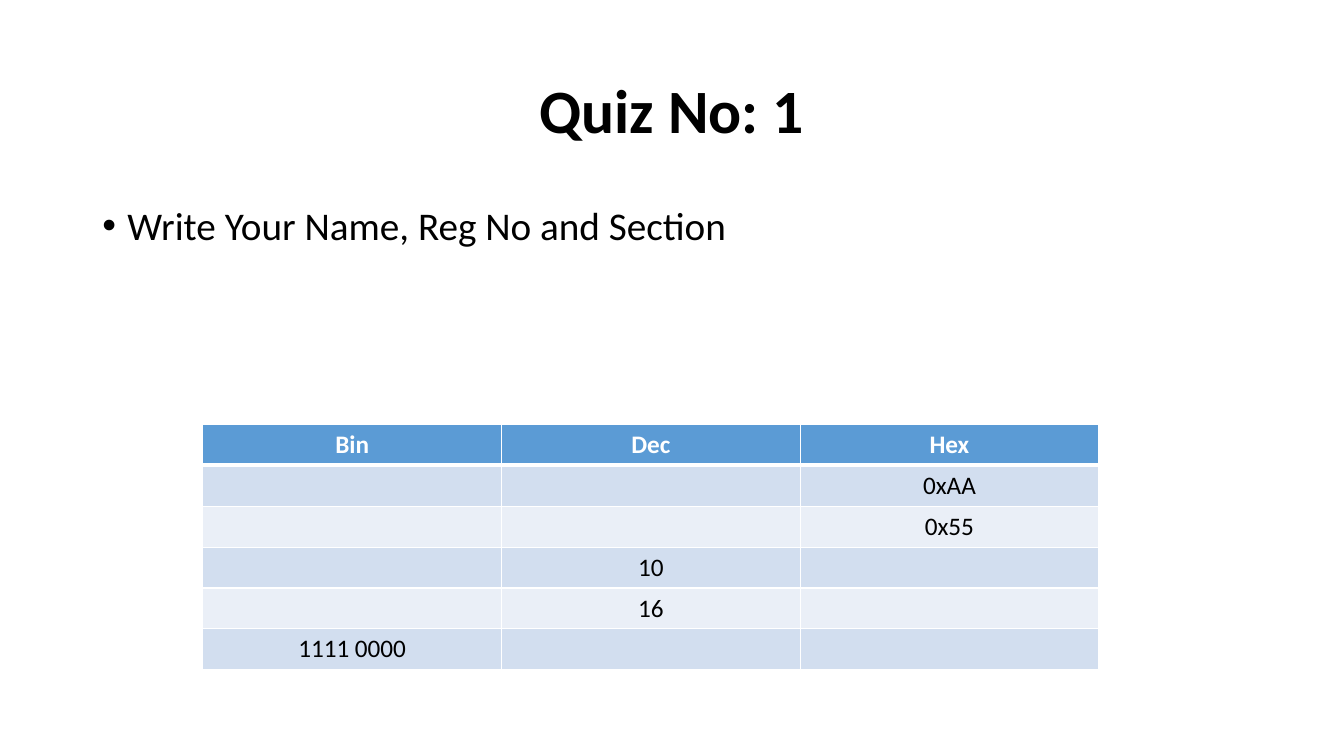
import pptx
import pptx.util
import pptx.dml.color
import pptx.enum.text
import pptx.oxml
import pptx.oxml.ns
from lxml import etree

Pt = pptx.util.Pt
ALIGN = pptx.enum.text.PP_ALIGN
ANCHOR = pptx.enum.text.MSO_ANCHOR
qn = pptx.oxml.ns.qn


def rgb(color):
    return pptx.dml.color.RGBColor.from_string(color)


def add_text(top, height, text, size, bold, align, anchor):
    """Add a text box as wide as the content area and return its paragraph."""
    tf = s.shapes.add_textbox(Pt(66), Pt(top), Pt(828), Pt(height)).text_frame
    tf.word_wrap = True
    tf.vertical_anchor = anchor
    p = tf.paragraphs[0]
    p.text = text
    p.alignment = align
    p.line_spacing = 0.9
    p.font.name = "Calibri"
    p.font.size = Pt(size)
    p.font.bold = bold
    p.font.color.rgb = rgb("000000")
    return p


prs = pptx.Presentation()
prs.slide_width, prs.slide_height = Pt(960), Pt(540)
s = prs.slides.add_slide(prs.slide_layouts[6])

add_text(28.75, 104.4, "Quiz No: 1", 44, True, ALIGN.CENTER, ANCHOR.MIDDLE)

p = add_text(143.75, 342.6, "Write Your Name, Reg No and Section", 28, False,
             ALIGN.LEFT, ANCHOR.TOP)
p.space_before = Pt(10)
pPr = p._p.get_or_add_pPr()
pPr.set("marL", str(Pt(18)))
pPr.set("indent", str(-Pt(18)))
bullet_font = etree.Element(qn("a:buFont"), typeface="Arial")
bullet = etree.Element(qn("a:buChar"), char="•")
pPr.find(qn("a:spcBef")).addnext(bullet_font)
bullet_font.addnext(bullet)

rows = [
    ("Bin", "Dec", "Hex"),
    ("", "", "0xAA"),
    ("", "", "0x55"),
    ("", "10", ""),
    ("", "16", ""),
    ("1111 0000", "", ""),
]
table = s.shapes.add_table(len(rows), 3, Pt(144.9), Pt(303.2), Pt(640), Pt(175.2)).table
for column in table.columns:
    column.width = Pt(213.33)

for i, row in enumerate(rows):
    header = i == 0
    table.rows[i].height = Pt(29.2)
    fill = "5B9BD5" if header else ("EAEFF7", "D2DEEF")[i % 2]
    for j, text in enumerate(row):
        cell = table.cell(i, j)
        tcPr = cell._tc.get_or_add_tcPr()
        for side in "LRTB":
            thick = (header and side == "B") or (i == 1 and side == "T")
            ln = etree.SubElement(tcPr, qn("a:ln" + side), w=str(Pt(3 if thick else 1)))
            line_fill = etree.SubElement(ln, qn("a:solidFill"))
            etree.SubElement(line_fill, qn("a:srgbClr"), val="FFFFFF")
        cell.fill.solid()
        cell.fill.fore_color.rgb = rgb(fill)
        p = cell.text_frame.paragraphs[0]
        p.text = text
        p.alignment = ALIGN.CENTER
        p.font.name = "Calibri"
        p.font.size = Pt(18)
        p.font.bold = header
        p.font.color.rgb = rgb("FFFFFF" if header else "000000")

prs.save("out.pptx")
